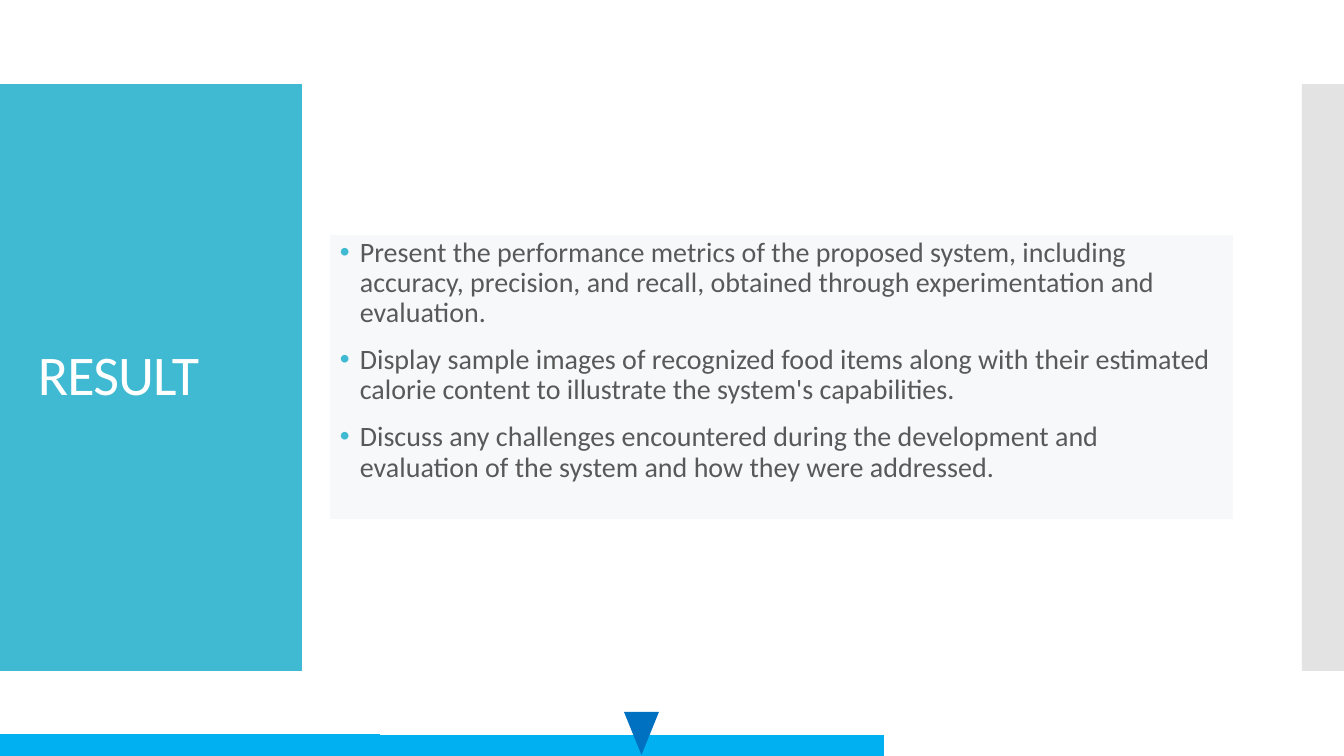
from lxml import etree
from pptx import Presentation
from pptx import util as u
from pptx.dml.color import RGBColor
from pptx.enum import shapes, text
from pptx.oxml.ns import qn

TEAL = RGBColor(0x40, 0xBA, 0xD2)
GREY = RGBColor(0xC8, 0xC8, 0xC8)
SKY = RGBColor(0x00, 0xB0, 0xF0)
BLUE = RGBColor(0x00, 0x70, 0xC0)
PALE = RGBColor(0xF6, 0xF8, 0xFA)
INK = RGBColor(0x59, 0x59, 0x59)
WHITE = RGBColor(0xFF, 0xFF, 0xFF)
KIND = shapes.MSO_SHAPE
SCALE = 914400 / 100.8
POINTS = [
    "Present the performance metrics of the proposed system, including accuracy, "
    "precision, and recall, obtained through experimentation and evaluation.",
    "Display sample images of recognized food items along with their estimated "
    "calorie content to illustrate the system's capabilities.",
    "Discuss any challenges encountered during the development and evaluation "
    "of the system and how they were addressed.",
]


def px(n):
    """Turn pixels into EMU."""
    return u.Emu(round(n * SCALE))


def put(obj, vals):
    """Set each attribute named in a dict."""
    for key, val in vals.items():
        setattr(obj, key, val)


class Deck:
    """Hold the style and the current slide."""

    def __init__(self, wide, high, font):
        """Open a deck with one blank slide."""
        self.prs = Presentation()
        put(self.prs, {"slide_width": px(wide), "slide_height": px(high)})
        self.slide = self.prs.slides.add_slide(self.prs.slide_layouts[6])
        self.font = font

    def shape(self, box, color, kind=KIND.RECTANGLE, alpha=None, flip=False):
        """Add a plain filled shape."""
        item = self.slide.shapes.add_shape(kind, *map(px, box))
        item.shadow.inherit = False
        item.fill.solid()
        item.fill.fore_color.rgb = color
        item.line.fill.background()
        if alpha:
            tone = item._element.spPr.find(qn("a:solidFill"))[0]
            etree.SubElement(tone, qn("a:alpha")).set("val", str(alpha * 1000))
        if flip:
            item._element.spPr.find(qn("a:xfrm")).set("flipV", "1")
        return item

    def label(self, para, words, size, color):
        """Add one styled run to a paragraph."""
        put(para, {"line_spacing": 0.9, "alignment": text.PP_ALIGN.LEFT})
        run = para.add_run()
        run.text = words
        put(run.font, {"name": self.font, "size": u.Pt(size)})
        run.font.color.rgb = color
        return run

    def title(self, box, words):
        """Add the heading."""
        frame = self.slide.shapes.add_textbox(*map(px, box)).text_frame
        put(frame, {"word_wrap": True, "vertical_anchor": text.MSO_ANCHOR.MIDDLE})
        run = self.label(frame.paragraphs[0], words, 40, WHITE)
        run._r.get_or_add_rPr().set("spc", "-60")

    def bullets(self, box, items):
        """Add a filled panel of bulleted text."""
        frame = self.shape(box, PALE).text_frame
        put(frame, {"word_wrap": True, "vertical_anchor": text.MSO_ANCHOR.TOP,
                    "margin_top": px(3), "margin_bottom": 0})
        for i, words in enumerate(items):
            para = frame.add_paragraph() if i else frame.paragraphs[0]
            self.label(para, words, 20, INK)
            para.space_before = u.Pt(12 if i else 0)
            prop = para._p.get_or_add_pPr()
            prop.set("marL", str(int(px(20))))
            prop.set("indent", str(-int(px(20))))
            hue = etree.SubElement(prop, qn("a:buClr"))
            etree.SubElement(hue, qn("a:srgbClr")).set("val", str(TEAL))
            etree.SubElement(prop, qn("a:buFont")).set("typeface", "Arial")
            etree.SubElement(prop, qn("a:buChar")).set("char", "•")


def main():
    """Build the result slide."""
    deck = Deck(1344, 756, "Calibri")
    deck.shape((0, 84, 302, 587), TEAL)
    deck.shape((1302, 84, 42, 587), GREY, alpha=50)
    deck.title((28, 124, 269, 507), "RESULT")
    edges = [0, 209, 380, 641, 884]
    for left, right, top in zip(edges, edges[1:], [734, 734, 735, 735]):
        deck.shape((left, top, right - left, 756 - top), SKY,
                   KIND.FLOWCHART_PROCESS)
    deck.shape((624, 712, 35, 43), BLUE, KIND.ISOSCELES_TRIANGLE, flip=True)
    deck.bullets((330, 235, 903, 284), POINTS)
    deck.prs.save("out.pptx")


if __name__ == "__main__":
    main()
